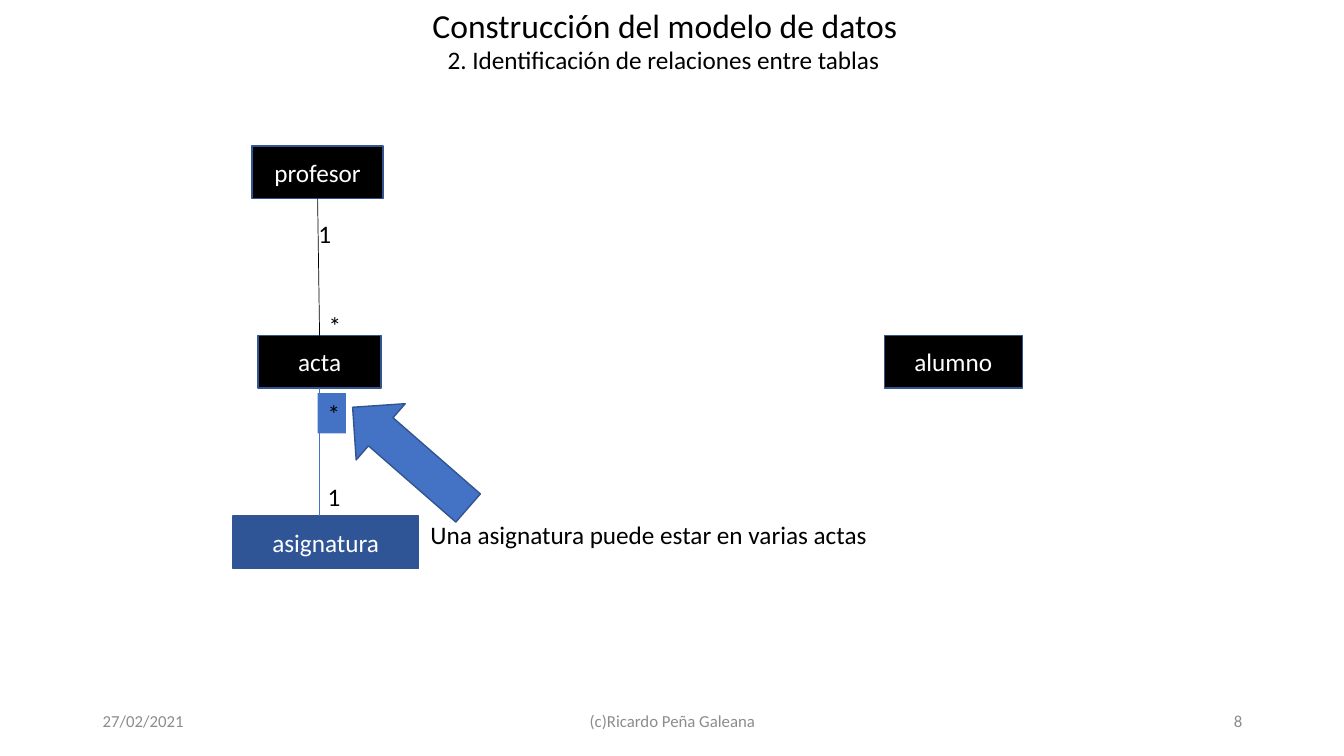
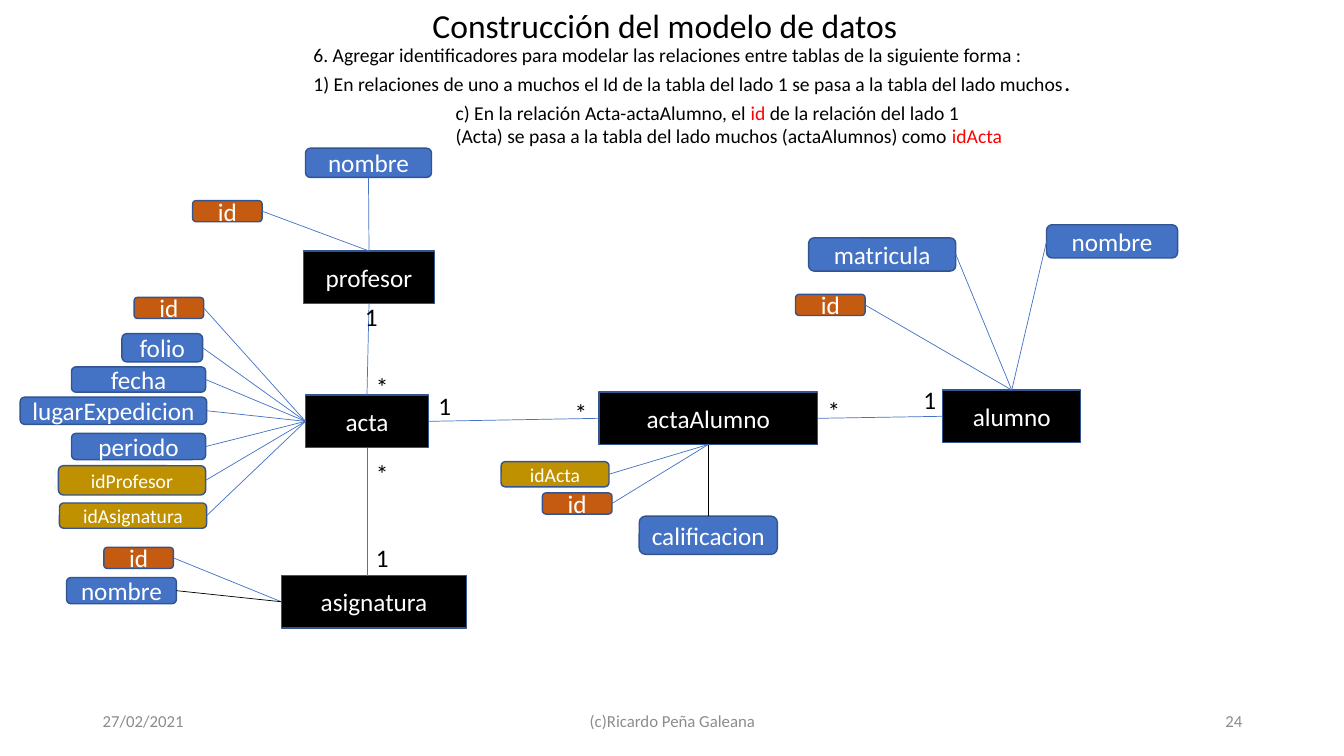
"""Build two slides that develop an entity-relationship model for school records."""
from dataclasses import dataclass

from pptx import Presentation
from pptx.dml.color import RGBColor as Rgb
from pptx.enum.shapes import MSO_CONNECTOR as Connector, MSO_SHAPE as Preset
from pptx.enum.text import MSO_ANCHOR as Anchor, MSO_AUTO_SIZE as AutoSize, PP_ALIGN as Align
from pptx.oxml.ns import qn
from pptx.util import Inches, Pt
from lxml.etree import SubElement


@dataclass(frozen=True)
class Theme:
    font: str = "Calibri"
    black: str = "000000"
    white: str = "FFFFFF"
    grey: str = "8C8C8C"
    red: str = "FF0000"
    blue: str = "4472C4"
    navy: str = "2F5597"
    outline: str = "325491"
    orange: str = "C55A11"
    gold: str = "BF9000"
    title: int = 24
    body: int = 18
    note: int = 14
    footer: int = 12


theme = Theme()
TOP, LEFT, BOTTOM, RIGHT = range(4)


def write(shape, paragraphs, size, color, align=Align.LEFT, anchor=Anchor.TOP, wrap=False):
    frame = shape.text_frame
    frame.word_wrap = wrap
    frame.vertical_anchor = anchor
    for index, pieces in enumerate(paragraphs):
        para = frame.add_paragraph() if index else frame.paragraphs[0]
        para.alignment = align
        for text, piece_size, piece_color in pieces:
            span = para.add_run()
            span.text = text
            span.font.name = theme.font
            span.font.size = Pt(piece_size or size)
            span.font.color.rgb = Rgb.from_string(piece_color or color)


def add_box(slide, preset, place, fill, text="", size=theme.body):
    box = slide.shapes.add_shape(preset, *map(Inches, place))
    box.shadow.inherit = False
    box.fill.solid()
    box.fill.fore_color.rgb = Rgb.from_string(fill)
    box.line.color.rgb = Rgb.from_string(theme.outline)
    box.line.width = Pt(1)
    if text:
        write(box, [[(text, None, None)]], size, theme.white, Align.CENTER, Anchor.MIDDLE)
    return box


pages = [
    {
        "number": "8",
        "tables": {
            "acta": (2.56, 3.33, 1.22, theme.black),
            "asignatura": (2.31, 5.12, 1.84, theme.navy),
            "profesor": (2.5, 1.45, 1.3, theme.black),
            "alumno": (8.77, 3.33, 1.37, theme.black),
        },
        "relations": [
            ("profesor", BOTTOM, "acta", TOP, theme.black),
            ("acta", BOTTOM, "asignatura", None, theme.blue),
        ],
        "attributes": [],
        "arrows": [((3.7, 3.78, 0.74, 1.52), 311.1)],
        "labels": [
            ("1", 3.06, 2.12, None),
            ("*", 3.16, 3.03, None),
            ("1", 3.15, 4.73, None),
            ("*", 3.15, 3.9, theme.blue),
        ],
        "notes": [
            ((4.34, 0.39, 4.65, 0.4), theme.body, False,
             [[("2. Identificación de relaciones entre tablas", None, None)]]),
            ((4.17, 5.1, 4.65, 0.4), theme.body, False,
             [[("Una asignatura puede estar en varias actas", None, None)]]),
        ],
    },
    {
        "number": "24",
        "tables": {
            "acta": (3.03, 3.92, 1.22, theme.black),
            "asignatura": (2.79, 5.71, 1.84, theme.black),
            "profesor": (3.01, 2.49, 1.3, theme.black),
            "alumno": (9.35, 3.87, 1.37, theme.black),
            "actaAlumno": (5.94, 3.89, 2.17, theme.black),
        },
        "relations": [
            ("profesor", BOTTOM, "acta", TOP, theme.blue),
            ("acta", BOTTOM, "asignatura", None, theme.blue),
            ("acta", RIGHT, "actaAlumno", LEFT, theme.blue),
            ("actaAlumno", RIGHT, "alumno", LEFT, theme.blue),
        ],
        "attributes": [
            ("profesor", TOP, [
                ("nombre", (3.03, 1.47, 1.25, 0.29), BOTTOM, theme.blue),
                ("id", (1.91, 1.99, 0.69, 0.21), RIGHT, theme.blue),
            ]),
            ("acta", LEFT, [
                ("id", (1.33, 2.95, 0.69, 0.21), RIGHT, theme.blue),
                ("folio", (1.21, 3.31, 0.8, 0.28), RIGHT, theme.blue),
                ("fecha", (0.71, 3.64, 1.33, 0.25), RIGHT, theme.blue),
                ("lugarExpedicion", (0.2, 3.94, 1.85, 0.27), RIGHT, theme.blue),
                ("periodo", (0.71, 4.3, 1.33, 0.26), RIGHT, theme.blue),
                ("idProfesor", (0.58, 4.62, 1.46, 0.29), RIGHT, theme.blue),
                ("idAsignatura", (0.59, 4.99, 1.46, 0.25), RIGHT, theme.blue),
            ]),
            ("asignatura", LEFT, [
                ("id", (1.03, 5.43, 0.69, 0.21), RIGHT, theme.blue),
                ("nombre", (0.66, 5.73, 1.09, 0.26), RIGHT, theme.black),
            ]),
            ("actaAlumno", BOTTOM, [
                ("idActa", (4.97, 4.58, 1.07, 0.25), RIGHT, theme.blue),
                ("id", (5.38, 4.89, 0.69, 0.21), RIGHT, theme.blue),
                ("calificacion", (6.34, 5.12, 1.37, 0.38), TOP, theme.black),
            ]),
            ("alumno", TOP, [
                ("matricula", (8.02, 2.36, 1.46, 0.33), RIGHT, theme.blue),
                ("nombre", (10.38, 2.23, 1.3, 0.33), LEFT, theme.blue),
                ("id", (7.89, 2.92, 0.69, 0.21), RIGHT, theme.blue),
            ]),
        ],
        "arrows": [],
        "labels": [
            ("1", 3.52, 2.94, None),
            ("*", 3.63, 3.63, None),
            ("1", 3.63, 5.33, None),
            ("*", 3.63, 4.5, None),
            ("*", 8.11, 3.87, None),
            ("*", 5.6, 3.89, None),
            ("1", 4.25, 3.82, None),
            ("1", 9.06, 3.76, None),
        ],
        "notes": [
            ((3.01, 0.38, 7.82, 0.64), theme.note, False, [
                [("6. Agregar identificadores para modelar las relaciones entre tablas "
                  "de la siguiente forma :", None, None)],
                [("1) En relaciones de uno a muchos el Id de la tabla del lado 1 "
                  "se pasa a la tabla del lado muchos", None, None),
                 (".", theme.body, None)],
            ]),
            ((4.42, 0.95, 5.65, 0.57), theme.note, True, [
                [("c) En la relación Acta-actaAlumno, el ", None, None),
                 ("id", None, theme.red),
                 (" de la relación del lado 1 (Acta) se pasa a la tabla del lado muchos "
                  "(actaAlumnos) como ", None, None),
                 ("idActa", None, theme.red)],
            ]),
        ],
    },
]

deck = Presentation()
deck.slide_width, deck.slide_height = Inches(13.33), Inches(7.5)
blank = deck.slide_layouts[6]

for page in pages:
    slide = deck.slides.add_slide(blank)
    title = slide.shapes.add_textbox(*map(Inches, (4.19, 0, 4.95, 0.5)))
    write(title, [[("Construcción del modelo de datos", None, None)]], theme.title, theme.black)

    tables = {
        name: add_box(slide, Preset.RECTANGLE, (left, top, width, 0.52), fill, name)
        for name, (left, top, width, fill) in page["tables"].items()
    }
    links = [
        (tables[start], start_side, tables[end], end_side, color)
        for start, start_side, end, end_side, color in page["relations"]
    ]
    for owner, owner_side, attributes in page["attributes"]:
        for name, place, side, color in attributes:
            is_foreign = name.startswith("id") and name != "id"
            fill = theme.gold if is_foreign else theme.orange if name == "id" else theme.blue
            size = theme.note if is_foreign else theme.body
            box = add_box(slide, Preset.ROUNDED_RECTANGLE, place, fill, name, size)
            links.append((box, side, tables[owner], owner_side, color))

    for start, start_side, end, end_side, color in links:
        link = slide.shapes.add_connector(Connector.STRAIGHT, 0, 0, 0, 0)
        link.begin_connect(start, start_side)
        if end_side is None:
            link.end_x, link.end_y = link.begin_x, end.top
        else:
            link.end_connect(end, end_side)
        link.line.color.rgb = Rgb.from_string(color)
        link.line.width = Pt(0.5)
        SubElement(link._element.spPr, qn("a:effectLst"))

    for place, rotation in page["arrows"]:
        add_box(slide, Preset.UP_ARROW, place, theme.blue).rotation = rotation

    for text, left, top, fill in page["labels"]:
        label = slide.shapes.add_textbox(*map(Inches, (left, top, 0.28, 0.4)))
        write(label, [[(text, None, None)]], theme.body, theme.black)
        label.text_frame.auto_size = AutoSize.SHAPE_TO_FIT_TEXT
        if fill:
            label.fill.solid()
            label.fill.fore_color.rgb = Rgb.from_string(fill)

    for place, size, wrap, paragraphs in page["notes"]:
        note = slide.shapes.add_textbox(*map(Inches, place))
        write(note, paragraphs, size, theme.black, wrap=wrap)

    for text, left, width, align in [
        ("27/02/2021", 0.92, 3, Align.LEFT),
        ("(c)Ricardo Peña Galeana", 4.42, 4.5, Align.CENTER),
        (page["number"], 9.42, 3, Align.RIGHT),
    ]:
        footer = slide.shapes.add_textbox(*map(Inches, (left, 6.95, width, 0.4)))
        write(footer, [[(text, None, None)]], theme.footer, theme.grey, align, Anchor.MIDDLE, True)

deck.save("out.pptx")
